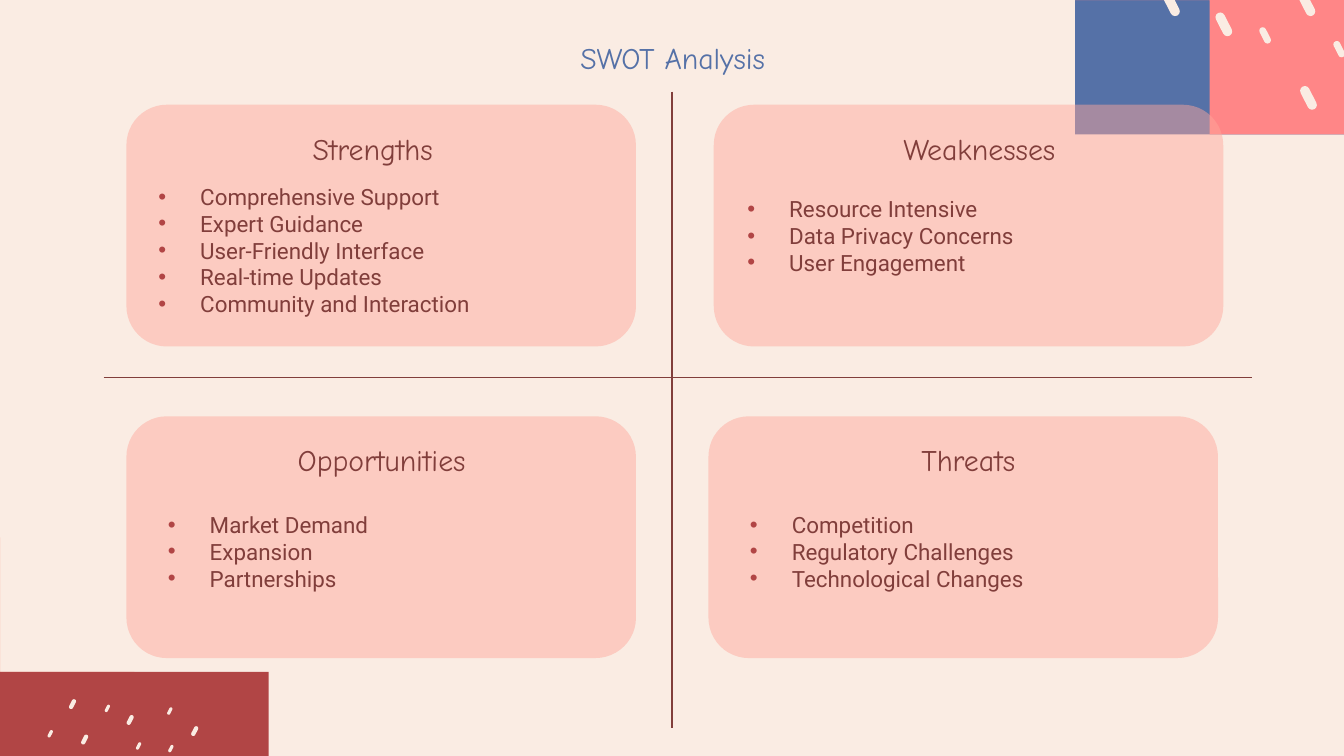
from lxml.etree import SubElement
from pptx import Presentation
from pptx.dml.color import RGBColor
from pptx.enum.shapes import MSO_CONNECTOR, MSO_SHAPE
from pptx.enum.text import MSO_ANCHOR, MSO_AUTO_SIZE, PP_ALIGN
from pptx.oxml.ns import qn
from pptx.util import Cm, Pt

CREAM = RGBColor(0xFA, 0xEC, 0xE3)
PEACH = RGBColor(0xFF, 0xA7, 0x9B)
BRICK = RGBColor(0xB1, 0x45, 0x45)
BLUE = RGBColor(0x55, 0x71, 0xA7)
CORAL = RGBColor(0xFF, 0x86, 0x87)
BROWN = RGBColor(0x81, 0x3E, 0x3B)

# Content; lengths in cm
TITLE = "SWOT Analysis"
TITLE_BOX = (10.19, 0.43, 5.05, 1.3)
QUADRANTS = [
    {"card": (2.39, 1.98), "heading": "Strengths", "heading_span": (4.24, 5.61),
     "list_at": (2.74, 3.33),
     "points": ["Comprehensive Support", "Expert Guidance", "User-Friendly Interface",
                "Real-time Updates", "Community and Interaction"]},
    {"card": (13.49, 1.98), "heading": "Weaknesses", "heading_span": (14.61, 7.8),
     "list_at": (13.87, 3.56),
     "points": ["Resource Intensive", "Data Privacy Concerns", "User Engagement"]},
    {"card": (2.39, 7.87), "heading": "Opportunities", "heading_span": (2.92, 8.59),
     "list_at": (2.92, 9.53),
     "points": ["Market Demand", "Expansion", "Partnerships"]},
    {"card": (13.39, 7.87), "heading": "Threats", "heading_span": (14.4, 7.8),
     "list_at": (13.92, 9.53),
     "points": ["Competition", "Regulatory Challenges", "Technological Changes"]},
]
CARD_SIZE = (9.63, 4.57)
HEADING_DROP, HEADING_HEIGHT = 0.17, 1.3
LIST_WIDTH, LIST_MARGINS, LIST_LINE = 8.59, 0.25, 0.51
AXES = [(12.7, 1.73, 12.7, 13.77), (1.96, 7.14, 23.67, 7.14)]

# Blobs: smooth closed curves through points on a 2.54 cm grid
BLOB_UNIT = Cm(2.54)
CURVE_STEPS = 12
BLOBS = [
    (PEACH, [(-1.34, 4.39), (-1.9, 4.8), (-1.42, 5.57), (-0.87, 6.38), (-0.17, 6.63),
             (0.86, 5.26), (0.53, 4.76), (-0.21, 4.45), (-0.71, 4.66)]),
    (BRICK, [(0.78, 5.05), (0.29, 5.25), (0.15, 5.35), (0.01, 5.3), (-0.41, 5.17),
             (-0.85, 5.5), (-0.38, 6.35), (0.29, 7.07), (1.02, 7.2), (1.83, 5.69),
             (1.42, 5.25)]),
    (BLUE, [(10.42, 0.41), (10, 0.7), (9.54, 0.57), (9.05, 0.66), (8.39, 0.48),
            (7.86, -0.04), (8.64, -1.57), (9.23, -1.49), (9.83, -0.96), (9.86, -0.42)]),
    (CORAL, [(10.26, 1.14), (10.95, 0.93), (10.91, -0.78), (10.2, -0.99), (9.28, -0.65),
             (8.6, -0.4), (8.45, 0.03), (8.64, 0.34), (9.05, 0.46), (9.31, 0.49),
             (9.39, 0.63), (9.68, 0.99)]),
]
# Flecks: width, length, tilt, centres
FLECKS = [
    (0.06, 0.15, 27, [(3.21, 13.44), (0.95, 13.87), (2.62, 14.1), (2.03, 13.39), (3.23, 14.15)]),
    (0.08, 0.2, 27, [(2.46, 13.61), (1.37, 13.31), (3.68, 13.82), (1.6, 13.98)]),
    (0.18, 0.48, -27, [(22.14, 0.08), (24.7, 0.08), (24.73, 1.85), (23.13, 0.46)]),
    (0.13, 0.33, -27, [(23.91, 0.67), (25.31, 0.93)]),
]

# Formats
TITLE_FONT = {"name": "Comic Neue", "size": Pt(16), "bold": False}
POINT_FONT = {"name": "Roboto", "size": Pt(12), "bold": False}
NO_MARGINS = dict.fromkeys(("margin_left", "margin_top", "margin_right", "margin_bottom"), 0)
HEADING_FRAME = {"word_wrap": True, "auto_size": MSO_AUTO_SIZE.NONE,
                 "vertical_anchor": MSO_ANCHOR.MIDDLE, **NO_MARGINS}
LIST_FRAME = {"word_wrap": True, "auto_size": MSO_AUTO_SIZE.SHAPE_TO_FIT_TEXT,
              "vertical_anchor": MSO_ANCHOR.TOP}


def apply(target, values):
    for key, value in values.items():
        setattr(target, key, value)


def place(shape, box):
    apply(shape, dict(zip(("left", "top", "width", "height"), map(Cm, box))))


def paint(shape, color):
    shape.fill.solid()
    shape.fill.fore_color.rgb = color
    shape.line.fill.background()
    shape.shadow.inherit = False


def write(paragraph, text, font, color, align):
    apply(paragraph, {"alignment": align, "space_before": Pt(0)})
    run = paragraph.add_run()
    run.text = text
    apply(run.font, font)
    run.font.color.rgb = color


def write_heading(shape, text, color):
    apply(shape.text_frame, HEADING_FRAME)
    write(shape.text_frame.paragraphs[0], text, TITLE_FONT, color, PP_ALIGN.CENTER)


def add_bullet(paragraph):
    properties = paragraph._p.get_or_add_pPr()
    properties.set("marL", str(Cm(0.79)))
    properties.set("indent", str(-Cm(0.79)))
    bullet_color = SubElement(properties, qn("a:buClr"))
    SubElement(bullet_color, qn("a:srgbClr"), val=str(BRICK))
    SubElement(properties, qn("a:buFont"), typeface="Arial")
    SubElement(properties, qn("a:buChar"), char="•")


def smooth(points):
    """Closed Catmull-Rom curve through the points."""
    curve = []
    for i in range(len(points)):
        knots = [points[(i + shift) % len(points)] for shift in (-1, 0, 1, 2)]
        for step in range(CURVE_STEPS):
            t = step / CURVE_STEPS
            curve.append(tuple(
                b + t * (c - a + t * (2 * a - 5 * b + 4 * c - d
                                      + t * (3 * (b - c) + d - a))) / 2
                for a, b, c, d in zip(*knots)))
    return curve


def main():
    deck = Presentation()
    deck.slide_width, deck.slide_height = Cm(25.4), Cm(14.29)
    slide = deck.slides.add_slide(deck.slide_layouts.get_by_name("Comparison"))
    slide.background.fill.solid()
    slide.background.fill.fore_color.rgb = CREAM
    shapes = slide.shapes
    title, *lists = [p for p in slide.placeholders if p.placeholder_format.idx < 5]

    # Corner decoration
    for color, points in BLOBS:
        start, *rest = smooth(points)
        builder = shapes.build_freeform(*start, scale=BLOB_UNIT)
        builder.add_line_segments(rest, close=True)
        paint(builder.convert_to_shape(), color)
    for width, length, tilt, centres in FLECKS:
        for x, y in centres:
            box = (x - width / 2, y - length / 2, width, length)
            fleck = shapes.add_shape(MSO_SHAPE.ROUNDED_RECTANGLE, *map(Cm, box))
            fleck.adjustments[0] = 0.5
            fleck.rotation = tilt
            paint(fleck, CREAM)

    # Title
    place(title, TITLE_BOX)
    write_heading(title, TITLE, BLUE)

    # Quadrants
    for quadrant, bullets in zip(QUADRANTS, lists):
        card = shapes.add_shape(MSO_SHAPE.ROUNDED_RECTANGLE,
                                *map(Cm, quadrant["card"] + CARD_SIZE))
        card.adjustments[0] = 0.167
        paint(card, PEACH)
        fill_color = card._element.spPr.find(qn("a:solidFill"))[0]
        SubElement(fill_color, qn("a:alpha"), val="47000")

        left, width = quadrant["heading_span"]
        heading_box = (left, quadrant["card"][1] + HEADING_DROP, width, HEADING_HEIGHT)
        heading = shapes.add_textbox(*map(Cm, heading_box))
        write_heading(heading, quadrant["heading"], BROWN)

        height = LIST_MARGINS + LIST_LINE * len(quadrant["points"])
        place(bullets, quadrant["list_at"] + (LIST_WIDTH, height))
        shapes._spTree.append(bullets._element)  # list in front of its card
        frame = bullets.text_frame
        apply(frame, LIST_FRAME)
        for number, point in enumerate(quadrant["points"]):
            paragraph = frame.add_paragraph() if number else frame.paragraphs[0]
            add_bullet(paragraph)
            write(paragraph, point, POINT_FONT, BROWN, PP_ALIGN.LEFT)

    # Axes
    for ends in AXES:
        axis = shapes.add_connector(MSO_CONNECTOR.STRAIGHT, *map(Cm, ends))
        axis.line.color.rgb = BROWN
        axis.line.width = Pt(0.75)
        SubElement(axis._element.spPr, qn("a:effectLst"))

    deck.save("out.pptx")


if __name__ == "__main__":
    main()
